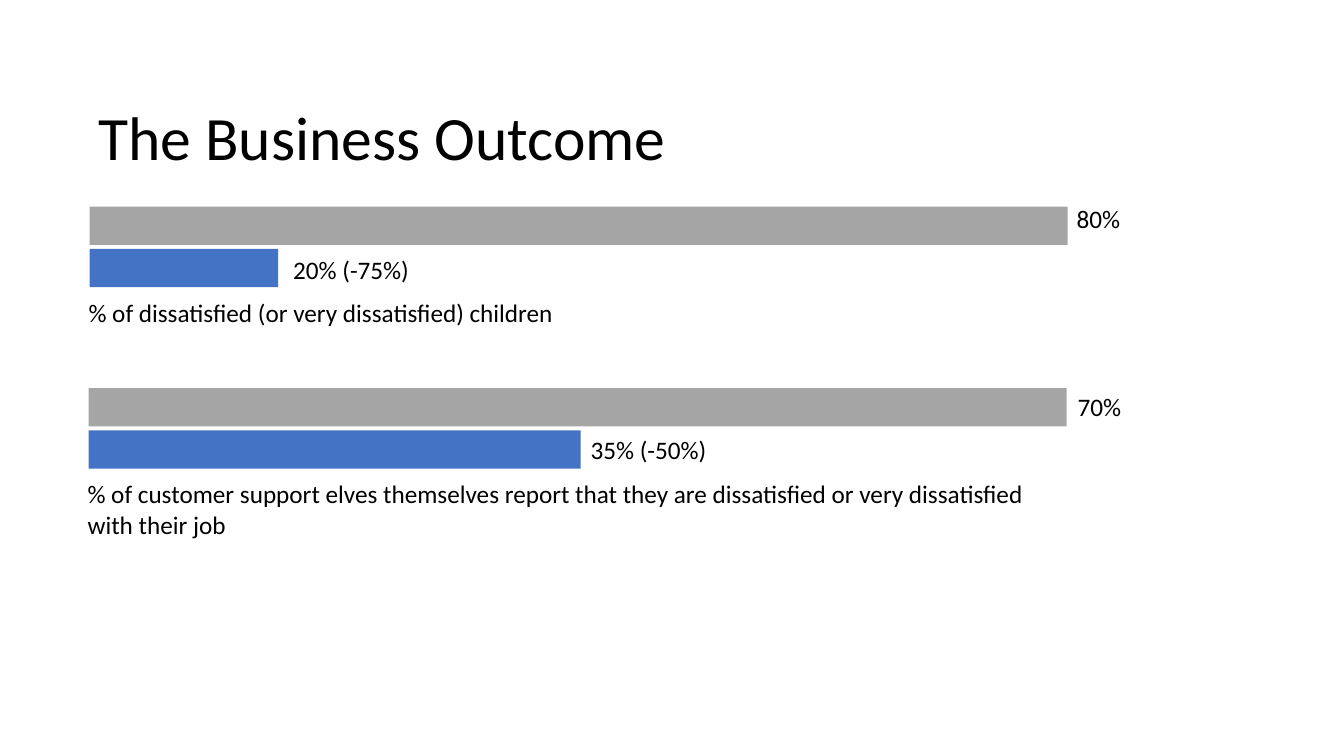
"""Builds the business outcome slide with two before-and-after bar pairs."""
from pptx import Presentation
from pptx import util as u
from pptx.dml.color import RGBColor
from pptx.enum import shapes, text

BLACK = RGBColor(0x00, 0x00, 0x00)
GREY = RGBColor(0xA5, 0xA5, 0xA5)
BLUE = RGBColor(0x44, 0x72, 0xC4)
FONT = "Calibri"

TITLE = "The Business Outcome"
OUTCOMES = [
    {
        "left": 0.89,
        "caption": ["% of dissatisfied (or very dissatisfied) children"],
        "bars": [
            {"label": "80%", "length": 9.7, "color": GREY, "nudge": (-0.01, -0.08)},
            {"label": "20% (-75%)", "length": 1.87, "color": BLUE, "nudge": (0.05, 0)},
        ],
    },
    {
        "left": 0.88,
        "caption": [
            "% of customer support elves themselves report that they are dissatisfied or very dissatisfied",
            "with their job",
        ],
        "bars": [
            {"label": "70%", "length": 9.7, "color": GREY, "nudge": (0.01, -0.02)},
            {"label": "35% (-50%)", "length": 4.88, "color": BLUE, "nudge": (0, -0.01)},
        ],
    },
]

WIDTH, HEIGHT = 13.33, 7.5
FIRST_TOP, OUTCOME_STEP = 2.05, 1.8
BAR_HEIGHT, BAR_STEP = 0.38, 0.42
CAPTION_DROP, CAPTION_INSET = 0.85, 0.11
LINE_HEIGHT, LABEL_WIDTH, CAPTION_WIDTH = 0.4, 2.3, 9.89


def add_words(slide, lines, box, size=18, anchor=text.MSO_ANCHOR.TOP, spacing=1.0):
    frame = slide.shapes.add_textbox(*map(u.Inches, box)).text_frame
    for name, value in {"word_wrap": True, "vertical_anchor": anchor}.items():
        setattr(frame, name, value)
    frame.text = "\n".join(lines)
    for paragraph in frame.paragraphs:
        paragraph.line_spacing = spacing
        paragraph.font.color.rgb = BLACK
        for name, value in {"name": FONT, "size": u.Pt(size)}.items():
            setattr(paragraph.font, name, value)


def add_bar(slide, box, color):
    bar = slide.shapes.add_shape(shapes.MSO_SHAPE.RECTANGLE, *map(u.Inches, box))
    bar.shadow.inherit = False
    bar.fill.solid()
    bar.fill.fore_color.rgb = color
    bar.line.fill.background()


def add_outcome(slide, outcome, top):
    left = outcome["left"]
    for row, bar in enumerate(outcome["bars"]):
        bar_top = top + row * BAR_STEP
        add_bar(slide, (left, bar_top, bar["length"], BAR_HEIGHT), bar["color"])
        across, down = bar["nudge"]
        label_left = left + bar["length"] + across
        add_words(slide, [bar["label"]], (label_left, bar_top + down, LABEL_WIDTH, LINE_HEIGHT))
    caption = outcome["caption"]
    caption_box = (left - CAPTION_INSET, top + CAPTION_DROP, CAPTION_WIDTH, LINE_HEIGHT * len(caption))
    add_words(slide, caption, caption_box)


def main():
    deck = Presentation()
    deck.slide_width, deck.slide_height = u.Inches(WIDTH), u.Inches(HEIGHT)
    slide = deck.slides.add_slide(deck.slide_layouts[6])
    add_words(slide, [TITLE], (0.88, 0.68, 10.47, 1.43), 44, text.MSO_ANCHOR.MIDDLE, 0.9)
    for index, outcome in enumerate(OUTCOMES):
        add_outcome(slide, outcome, FIRST_TOP + index * OUTCOME_STEP)
    deck.save("out.pptx")


if __name__ == "__main__":
    main()
